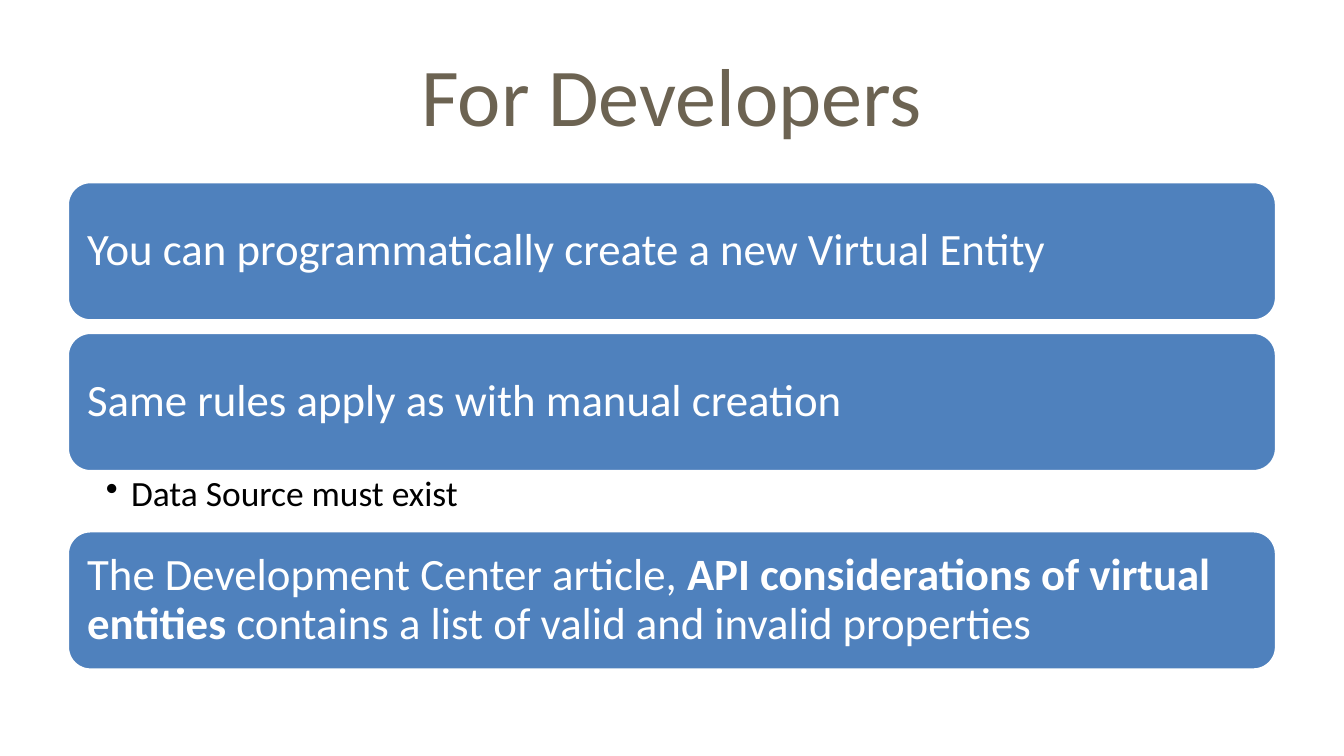
from dataclasses import dataclass

from lxml import etree
from pptx import Presentation
from pptx import util as u
from pptx.dml.color import RGBColor
from pptx.enum import shapes, text
from pptx.oxml import ns


@dataclass(frozen=True)
class Theme:
    font: str = "Calibri"
    title_color: RGBColor = RGBColor(0x6C, 0x63, 0x52)
    card_color: RGBColor = RGBColor(0x4F, 0x81, 0xBD)
    white: RGBColor = RGBColor(0xFF, 0xFF, 0xFF)
    black: RGBColor = RGBColor(0, 0, 0)
    title_size: u.Pt = u.Pt(44)
    card_size: u.Pt = u.Pt(24)
    detail_size: u.Pt = u.Pt(19)


theme = Theme()


def style(para, size, color):
    for span in para.runs:
        span.font.name = theme.font
        span.font.size = size
        span.font.color.rgb = color


def set_insets(frame, left, top, right, bottom):
    frame.word_wrap = True
    frame.margin_left, frame.margin_top = u.Cm(left), u.Cm(top)
    frame.margin_right, frame.margin_bottom = u.Cm(right), u.Cm(bottom)


deck = Presentation()
deck.slide_width, deck.slide_height = u.Cm(25.4), u.Cm(14.29)
page = deck.slides.add_slide(deck.slide_layouts[6])

left, width = u.Cm(1.27), u.Cm(22.86)
card_height = u.Cm(2.64)

title = page.shapes.add_textbox(left, u.Cm(0.58), width, u.Cm(2.38))
title.text_frame.text = "For Developers"
set_insets(title.text_frame, 0.25, 0.13, 0.25, 0.13)
title.text_frame.vertical_anchor = text.MSO_ANCHOR.MIDDLE
para = title.text_frame.paragraphs[0]
para.alignment = text.PP_ALIGN.CENTER
style(para, theme.title_size, theme.title_color)

cards = [
    (3.43, [("You can programmatically create a new Virtual Entity", False)]),
    (6.28, [("Same rules apply as with manual creation", False)]),
    (10.03, [
        ("The Development Center article, ", False),
        ("API considerations of virtual entities", True),
        (" contains a list of valid and invalid properties", False),
    ]),
]
for top, pieces in cards:
    card = page.shapes.add_shape(
        shapes.MSO_SHAPE.ROUNDED_RECTANGLE, left, u.Cm(top), width, card_height)
    card.shadow.inherit = False
    card.fill.solid()
    card.fill.fore_color.rgb = theme.card_color
    card.line.color.rgb = theme.white
    card.line.width = u.Pt(2)
    set_insets(card.text_frame, 0.25, 0.25, 0.25, 0.25)
    card.text_frame.vertical_anchor = text.MSO_ANCHOR.MIDDLE
    para = card.text_frame.paragraphs[0]
    para.alignment = text.PP_ALIGN.LEFT
    para.line_spacing = 0.9
    for words, bold in pieces:
        span = para.add_run()
        span.text = words
        span.font.bold = bold
    style(para, theme.card_size, theme.white)

detail = page.shapes.add_textbox(left, u.Cm(8.92), width, u.Cm(1.1))
detail.text_frame.text = "Data Source must exist"
set_insets(detail.text_frame, 0.73, 0.08, 0.48, 0.08)
para = detail.text_frame.paragraphs[0]
para.level = 1
para.line_spacing = 0.9
props = para._p.get_or_add_pPr()
props.set("marL", str(u.Cm(0.48)))
props.set("indent", str(-u.Cm(0.48)))
etree.SubElement(props, ns.qn("a:buChar")).set("char", "•")
style(para, theme.detail_size, theme.black)

deck.save("out.pptx")
